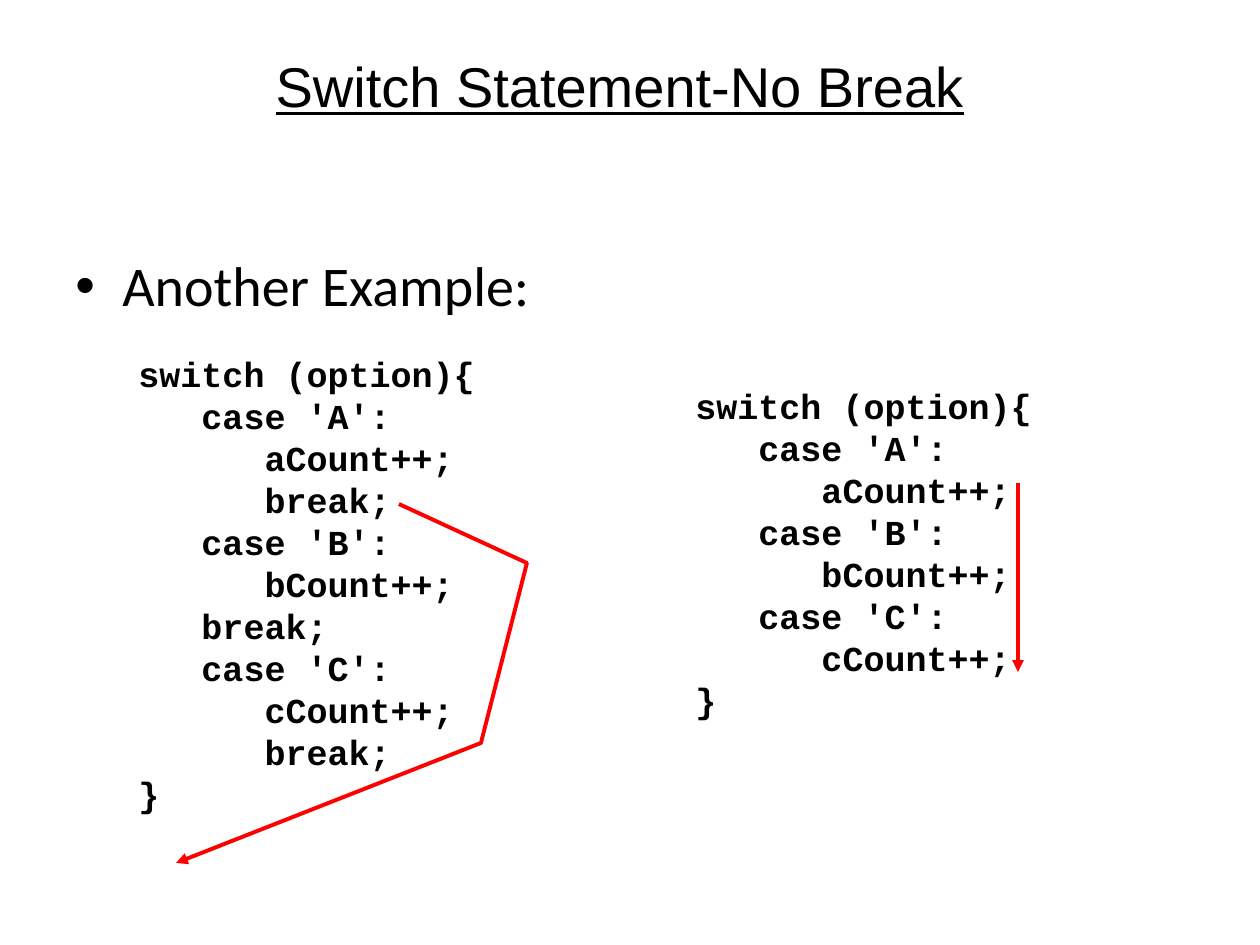
from lxml import etree
from pptx import Presentation
from pptx.dml.color import RGBColor
from pptx.enum.shapes import MSO_CONNECTOR
from pptx.enum.text import MSO_ANCHOR, MSO_AUTO_SIZE, PP_ALIGN
from pptx.oxml.ns import qn
from pptx.util import Pt

STRAIGHT = MSO_CONNECTOR.STRAIGHT
MIDDLE = MSO_ANCHOR.MIDDLE
GROW = MSO_AUTO_SIZE.SHAPE_TO_FIT_TEXT
CENTER = PP_ALIGN.CENTER
PX = 914400 / 126

deck = Presentation()
deck.slide_width = round(1260 * PX)
deck.slide_height = round(945 * PX)
page = deck.slides.add_slide(deck.slide_layouts[6])


def add_box(left, top, width, height):
    return page.shapes.add_textbox(*(round(n * PX) for n in (left, top, width, height)))


def style_span(span, font, size, color):
    span.font.name = font
    span.font.size = Pt(size)
    span.font.color.rgb = RGBColor.from_string(color)


code_with_breaks = [
    "switch (option){",
    "   case 'A':",
    "      aCount++;",
    "      break;",
    "   case 'B':",
    "      bCount++;",
    "   break;",
    "   case 'C':",
    "      cCount++;",
    "      break;",
    "}",
]
code_without_breaks = [line for line in code_with_breaks if "break" not in line]

for left, top, height, code in [
    (683, 378, 349, code_without_breaks),
    (126, 346, 475, code_with_breaks),
]:
    box = add_box(left, top, 362, height)
    frame = box.text_frame
    frame.word_wrap = False
    frame.auto_size = GROW
    frame.vertical_anchor = MIDDLE
    for number, line in enumerate(code):
        para = frame.add_paragraph() if number else frame.paragraphs[0]
        span = para.add_run()
        span.text = line
        style_span(span, "Courier New", 20, "000000")
        span.font.bold = True

bullet_box = add_box(63, 252, 1134, 74)
bullet_box.text_frame.word_wrap = True
para = bullet_box.text_frame.paragraphs[0]
para.line_spacing = 0.9
properties = para._p.get_or_add_pPr()
properties.set("marL", str(round(47 * PX)))
properties.set("indent", str(round(-47 * PX)))
etree.SubElement(properties, qn("a:buFont"), typeface="Arial")
etree.SubElement(properties, qn("a:buChar"), char="•")
span = para.add_run()
span.text = "Another Example:"
style_span(span, "Calibri", 32, "000000")

title_box = add_box(32, 45, 1176, 101)
title_box.text_frame.word_wrap = True
para = title_box.text_frame.paragraphs[0]
para.alignment = CENTER
span = para.add_run()
span.text = "Switch Statement-No Break"
style_span(span, "Arial", 32, "000000")
span.font.underline = True

builder = page.shapes.build_freeform(399, 504, scale=PX)
builder.add_line_segments([(527, 563), (481, 743), (176, 863)], close=False)
break_path = builder.convert_to_shape()
break_path.shadow.inherit = False
break_path.fill.background()

fall_through = page.shapes.add_connector(
    STRAIGHT, *(round(n * PX) for n in (1018, 483, 1018, 672))
)

for arrow in (break_path, fall_through):
    arrow.line.color.rgb = RGBColor.from_string("FF0000")
    arrow.line.width = Pt(2.25)
    etree.SubElement(arrow.line._get_or_add_ln(), qn("a:tailEnd"), type="triangle")
etree.SubElement(fall_through._element.spPr, qn("a:effectLst"))

deck.save("out.pptx")
